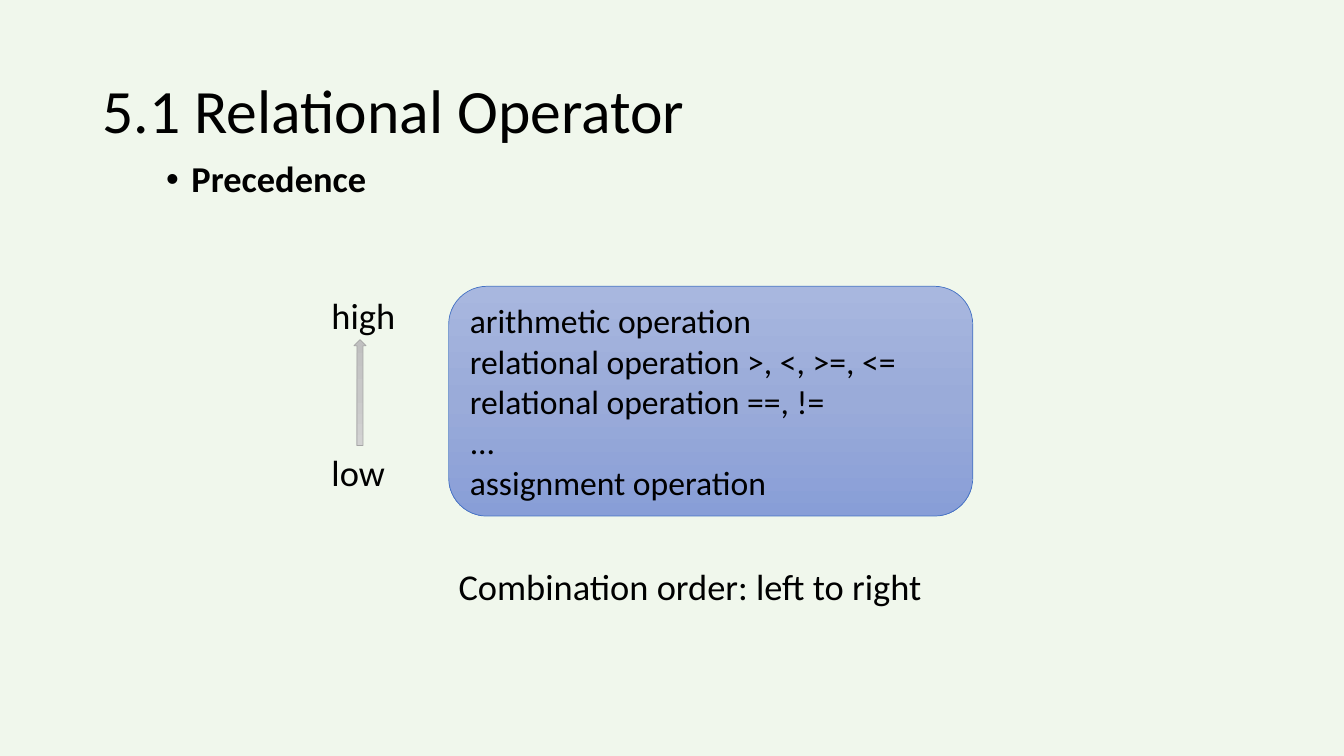
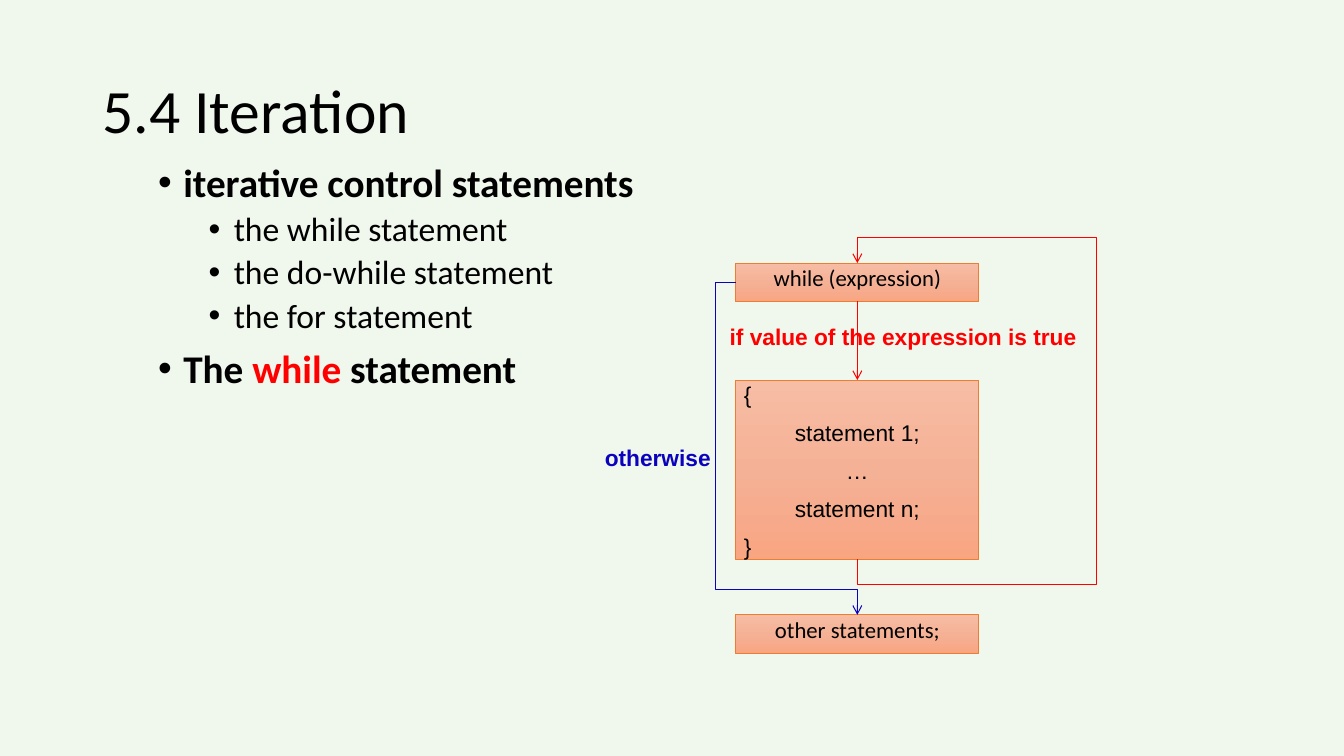
from copy import deepcopy
from dataclasses import dataclass, replace

from lxml.etree import SubElement
from pptx import Presentation
from pptx.dml.color import RGBColor
from pptx.enum.shapes import MSO_CONNECTOR, MSO_SHAPE
from pptx.enum.text import MSO_ANCHOR, PP_ALIGN
from pptx.oxml.ns import qn
from pptx.util import Inches, Pt

WIDE, HIGH = Inches(13.33), Inches(7.5)


@dataclass(frozen=True)
class Look:
    size: float
    font: str = "Calibri"
    color: str = "000000"
    bold: bool = False
    align: PP_ALIGN = PP_ALIGN.LEFT
    lead: float = 1.0
    before: float = 0
    after: float = 0
    level: int = -1  # bullet level, -1 for no bullet


class Theme:
    back = "F0F7EC"
    red = "FF0000"
    blue = "0B02BE"
    cool = ("A8B7DF", "9AABD9", "889ED7"), "4472C4"
    warm = ("F7BDA5", "F5B196", "F8A582"), "ED7D31"
    gray = ("C0C0C0", "C8C8C8", "D2D2D2"), "A5A5A5"
    edge = Pt(0.5)
    wire = Pt(0.75)
    title = Look(44, lead=0.9)
    head = Look(28, bold=True, lead=0.9, before=10, level=0)
    topic = replace(head, size=26)
    item = Look(24, lead=0.9, before=5, level=1)
    plain = Look(26)
    list = Look(24)
    step = Look(16.2, align=PP_ALIGN.CENTER, lead=0.9, before=4.8, after=4.8)
    code = replace(step, font="Arial")
    brace = replace(code, align=PP_ALIGN.JUSTIFY)
    note = Look(16.2, "Arial", bold=True, lead=0.9, before=5.9, after=5.9)


def rgb(code):
    return RGBColor.from_string(code)


def place(left, top, width, height):
    """Turn percentages of the slide into lengths."""
    return [round(part * full / 100) for part, full in
            zip((left, top, width, height), (WIDE, HIGH, WIDE, HIGH))]


def bullet(para, level):
    para.level = level
    props = para._p.get_or_add_pPr()
    props.set("marL", str(Inches(0.25 + 0.5 * level)))
    props.set("indent", str(-Inches(0.25)))
    SubElement(props, qn("a:buFont")).set("typeface", "Arial")
    SubElement(props, qn("a:buChar")).set("char", "•")


def write(frame, lines, anchor=MSO_ANCHOR.TOP):
    """Fill a frame with (text, look) lines; odd parts of a tuple text are red."""
    frame.word_wrap = True
    frame.vertical_anchor = anchor
    for index, (text, look) in enumerate(lines):
        para = frame.add_paragraph() if index else frame.paragraphs[0]
        parts = (text,) if isinstance(text, str) else text
        para.text = parts[0]
        for part in parts[1:]:
            para.add_run().text = part
        para.alignment = look.align
        para.line_spacing = look.lead
        para.space_before = Pt(look.before)
        para.space_after = Pt(look.after)
        if look.level >= 0:
            bullet(para, look.level)
        for spot, run in enumerate(para.runs):
            font = run.font
            font.name, font.size, font.bold = look.font, Pt(look.size), look.bold
            font.color.rgb = rgb(Theme.red if spot % 2 else look.color)


def label(slide, area, *lines, anchor=MSO_ANCHOR.TOP):
    box = slide.shapes.add_textbox(*place(*area))
    write(box.text_frame, lines, anchor)


def block(slide, kind, area, paint):
    """Add a shape with a top-to-bottom gradient and a thin outline."""
    shape = slide.shapes.add_shape(kind, *place(*area))
    shape.shadow.inherit = False
    tones, edge = paint
    fill = shape.fill
    fill.gradient()
    fill.gradient_angle = 270
    stops = shape.element.spPr.find(qn("a:gradFill")).find(qn("a:gsLst"))
    stops.insert(1, deepcopy(stops[0]))
    for index, (stop, tone) in enumerate(zip(fill.gradient_stops, tones)):
        stop.position = index / 2
        stop.color.rgb = rgb(tone)
    shape.line.color.rgb = rgb(edge)
    shape.line.width = Theme.edge
    return shape


def step(slide, top, height, *lines):
    """Add one box of the flow chart."""
    box = block(slide, MSO_SHAPE.RECTANGLE, (54.75, top, 18.08, height), Theme.warm)
    frame = box.text_frame
    frame.margin_left = frame.margin_right = Inches(0.08)
    frame.margin_top = frame.margin_bottom = Inches(0.04)
    write(frame, lines)
    return box


def tip(shape, color):
    """Colour a line and put an open arrowhead at its end."""
    shape.line.color.rgb = rgb(color)
    shape.line.width = Theme.wire
    SubElement(shape.line._get_or_add_ln(), qn("a:tailEnd")).set("type", "arrow")


def link(slide, start, end, color):
    """Join the bottom of one box to the top of the next."""
    wire = slide.shapes.add_connector(MSO_CONNECTOR.STRAIGHT, 0, 0, 0, 0)
    wire.begin_connect(start, 2)
    wire.end_connect(end, 0)
    tip(wire, color)
    SubElement(wire.element.spPr, qn("a:effectLst"))


def route(slide, color, start, *points):
    """Draw an arrow with right-angled bends through the points."""
    path = slide.shapes.build_freeform(*start)
    path.add_line_segments(points, close=False)
    wire = path.convert_to_shape()
    wire.fill.background()
    tip(wire, color)
    wire.shadow.inherit = False


def page(deck, title):
    slide = deck.slides.add_slide(deck.slide_layouts[6])
    label(slide, (6.9, 5.33, 86.25, 19.33), (title, Theme.title),
          anchor=MSO_ANCHOR.MIDDLE)
    return slide


def order(deck):
    slide = page(deck, "5.1 Relational Operator")
    label(slide, (11.63, 20.67, 73.14, 68.27), ("Precedence", Theme.topic))
    ranks = ("arithmetic operation", "relational operation >, <, >=, <=",
             "relational operation ==, !=", "...", "assignment operation")
    panel = block(slide, MSO_SHAPE.ROUNDED_RECTANGLE,
                  (33.38, 37.87, 39, 30.4), Theme.cool)
    write(panel.text_frame, [(rank, Theme.list) for rank in ranks],
          MSO_ANCHOR.MIDDLE)
    for text, left, top, width in (
            ("high", 23.93, 38.13, 13.58),
            ("low", 23.93, 58.93, 13.58),
            ("Combination order: left to right", 33.38, 74, 43.74)):
        label(slide, (left, top, width, 7.2), (text, Theme.plain))
    block(slide, MSO_SHAPE.UP_ARROW, (26.33, 44.93, 0.9, 14), Theme.gray)


def loop(deck):
    slide = page(deck, "5.4 Iteration")
    kinds = [(f"the {word} statement", Theme.item)
             for word in ("while", "do-while", "for")]
    label(slide, (11.03, 20.93, 73.14, 68.27),
          ("iterative control statements", Theme.head), *kinds,
          (("The ", "while", " statement"), Theme.head))

    test = step(slide, 34.8, 5.07, ("while (expression)", Theme.step))
    body = step(slide, 50.27, 23.73, ("{", Theme.brace),
                *[(text, Theme.code) for text in
                  ("statement 1;", "…", "statement n;")],
                ("}", Theme.brace))
    rest = step(slide, 81.33, 5.07, ("other statements;", Theme.step))

    link(slide, test, body, Theme.red)
    gap = Inches(0.25)
    mid = test.left + test.width // 2
    foot = body.top + body.height
    right = round(WIDE * 0.8155)
    route(slide, Theme.red, (mid, foot), (mid, foot + gap), (right, foot + gap),
          (right, test.top - gap), (mid, test.top - gap), (mid, test.top))
    level = test.top + test.height // 2
    left = test.left - Inches(0.2)
    route(slide, Theme.blue, (test.left, level), (left, level),
          (left, rest.top - gap), (mid, rest.top - gap), (mid, rest.top))

    label(slide, (53.56, 42.4, 28.88, 4.67),
          ("if value of the expression is true",
           replace(Theme.note, color=Theme.red)))
    label(slide, (44.26, 58.4, 10.5, 4.67),
          ("otherwise", replace(Theme.note, color=Theme.blue)))


def main():
    deck = Presentation()
    deck.slide_width, deck.slide_height = WIDE, HIGH
    fill = deck.slide_master.background.fill
    fill.solid()
    fill.fore_color.rgb = rgb(Theme.back)
    order(deck)
    loop(deck)
    deck.save("out.pptx")


if __name__ == "__main__":
    main()
